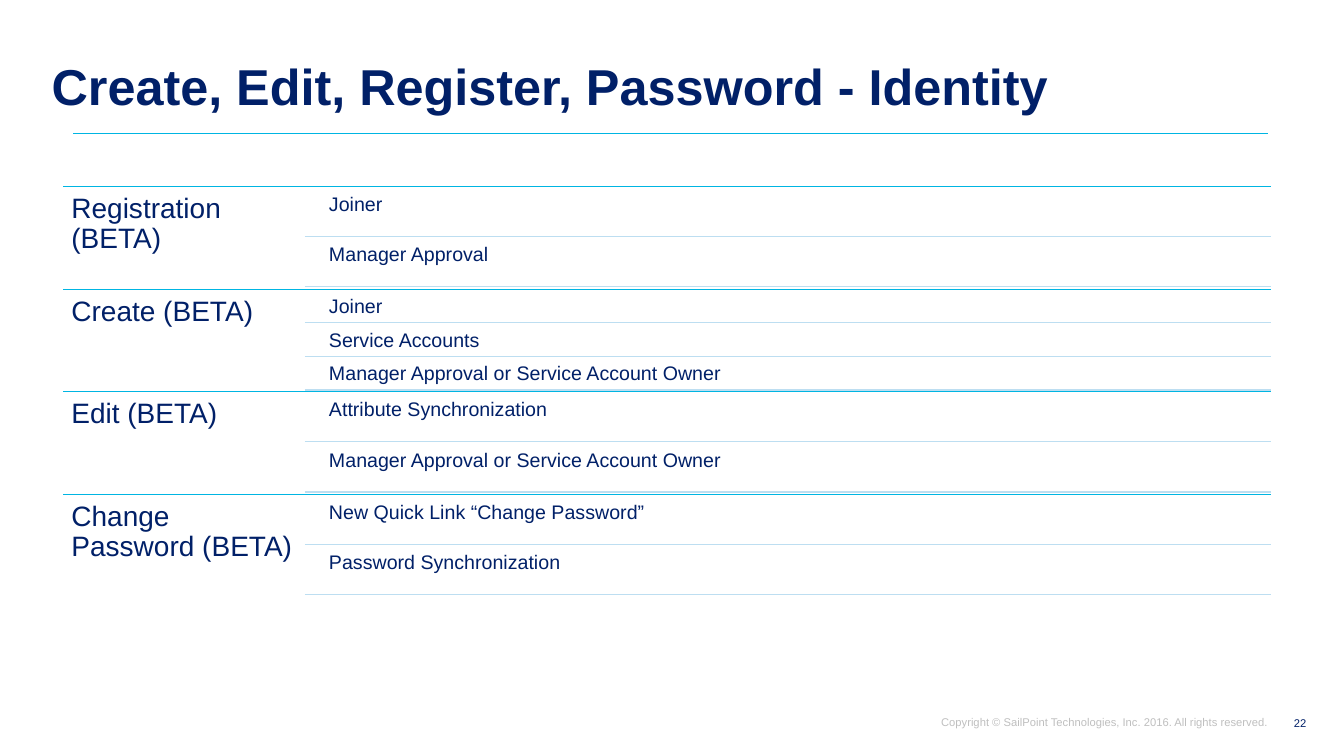
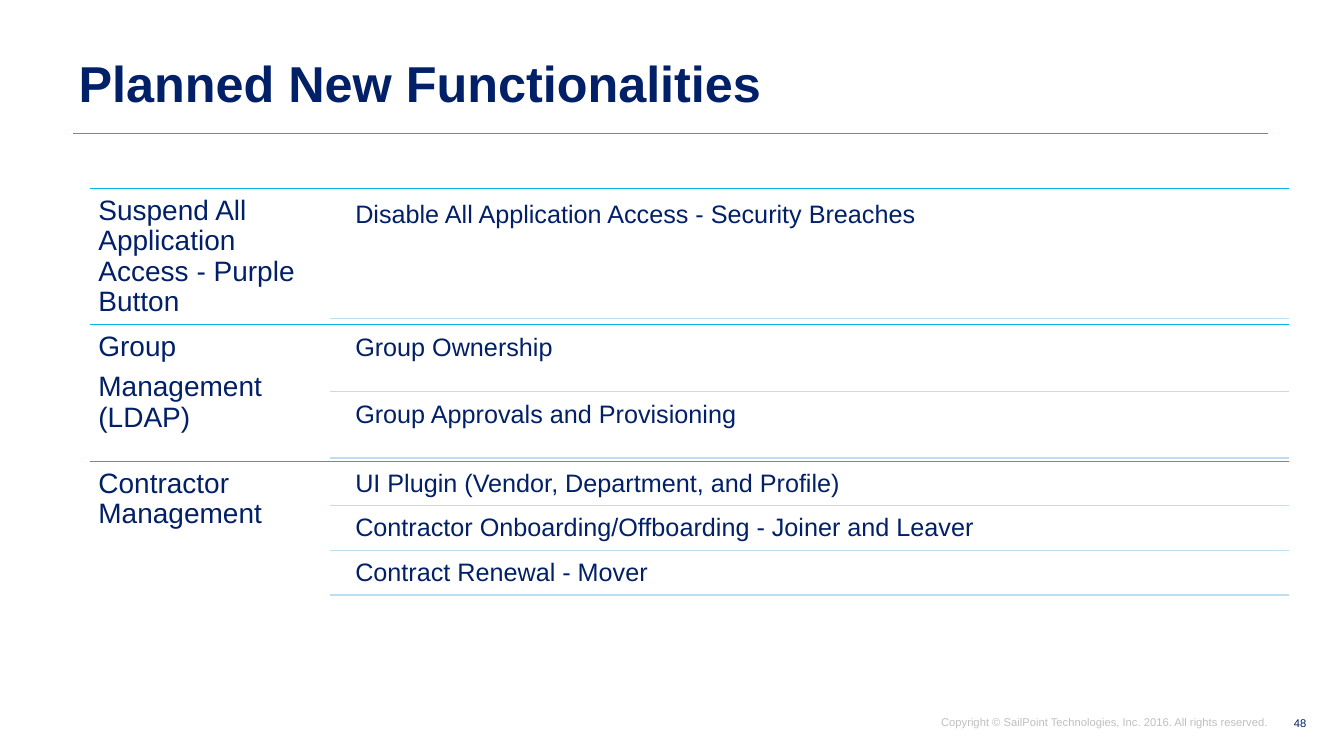
from dataclasses import dataclass
from pptx import Presentation
from pptx.dml.color import RGBColor
from pptx.enum.shapes import MSO_CONNECTOR
from pptx.enum.text import MSO_ANCHOR, PP_ALIGN
from pptx.oxml.ns import qn
from pptx.util import Cm, Pt
from lxml.etree import SubElement


@dataclass(frozen=True)
class Theme:
    font: str = "Arial"
    navy: str = "012068"
    cyan: str = "00B5E2"
    pale: str = "BDDEF1"
    grey: str = "BFBFBF"
    title_size: int = 36
    topic_size: int = 20
    footer_size: int = 8
    thin: float = 0.5
    regular: float = 1


THEME = Theme()

TOPIC_SHARE = 0.2
ITEM_SHARE = 0.215
GAP_SHARE = 0.05

COPYRIGHT = "Copyright © SailPoint Technologies, Inc. 2016. All rights reserved."

IDENTITY_TOPICS = [
    ("Registration (BETA)", ["Joiner", "Manager Approval"]),
    ("Create (BETA)", ["Joiner", "Service Accounts", "Manager Approval or Service Account Owner"]),
    ("Edit (BETA)", ["Attribute Synchronization", "Manager Approval or Service Account Owner"]),
    ("Change Password (BETA)", ["New Quick Link “Change Password”", "Password Synchronization"]),
]

PLANNED_TOPICS = [
    ("Suspend All Application Access - Purple Button",
     ["Disable All Application Access - Security Breaches"]),
    ("Group\nManagement (LDAP)", ["Group Ownership", "Group Approvals and Provisioning"]),
    ("Contractor Management",
     ["UI Plugin (Vendor, Department, and Profile)",
      "Contractor Onboarding/Offboarding - Joiner and Leaver",
      "Contract Renewal - Mover"]),
]


def add_text(page, text, left, top, width, height, *, size, color=THEME.navy, bold=False,
             align=PP_ALIGN.LEFT, anchor=MSO_ANCHOR.TOP, inset=(0, 0), line_spacing=1.0,
             space_after=0):
    box = page.shapes.add_textbox(Cm(left), Cm(top), Cm(width), Cm(height))
    frame = box.text_frame
    frame.word_wrap = True
    frame.vertical_anchor = anchor
    frame.margin_left = frame.margin_right = Cm(inset[0])
    frame.margin_top = frame.margin_bottom = Cm(inset[1])
    frame.text = text
    for para in frame.paragraphs:
        para.alignment = align
        para.line_spacing = line_spacing
        para.space_after = Pt(space_after)
        for span in para.runs:
            span.font.name = THEME.font
            span.font.size = Pt(size)
            span.font.bold = bold
            span.font.color.rgb = RGBColor.from_string(color)


def add_rule(page, left, right, height, color, weight):
    rule = page.shapes.add_connector(
        MSO_CONNECTOR.STRAIGHT, Cm(left), Cm(height), Cm(right), Cm(height))
    rule.line.color.rgb = RGBColor.from_string(color)
    rule.line.width = Pt(weight)
    SubElement(rule._element.spPr, qn("a:effectLst"))


def add_page(deck, title, number, left, top, width):
    page = deck.slides.add_slide(deck.slide_layouts[6])
    add_rule(page, 1.84, 31.96, 3.36, THEME.cyan, THEME.regular)
    footer = dict(size=THEME.footer_size, align=PP_ALIGN.RIGHT, anchor=MSO_ANCHOR.MIDDLE)
    add_text(page, COPYRIGHT, 23.24, 17.98, 8.72, 0.44, color=THEME.grey, **footer)
    add_text(page, str(number), 31.86, 17.76, 1.06, 0.94, **footer)
    add_text(page, title, left, top, width, 2.28, size=THEME.title_size, bold=True,
             anchor=MSO_ANCHOR.MIDDLE, inset=(0, 0.13), line_spacing=0.9)
    return page


def add_topic(page, topic, items, left, top, width, height, item_size, item_inset):
    right = left + width
    topic_width = width * TOPIC_SHARE
    item_left = left + width * ITEM_SHARE
    body = dict(line_spacing=0.9, space_after=7)
    add_rule(page, left, right, top, THEME.cyan, THEME.thin)
    add_text(page, topic, left, top, topic_width, height, size=THEME.topic_size,
             inset=(0.2, 0.2), **body)
    count = len(items)
    item_height = height / (count + (count + 1) * GAP_SHARE)
    gap = item_height * GAP_SHARE
    for index, item in enumerate(items):
        item_top = top + gap + index * (item_height + gap)
        add_text(page, item, item_left, item_top, right - item_left, item_height,
                 size=item_size, inset=(item_inset, item_inset), **body)
        add_rule(page, left + topic_width, right, item_top + item_height,
                 THEME.pale, THEME.regular)


def add_topics(page, topics, left, top, width, height, *, item_size, item_inset):
    band = height / len(topics)
    for index, (topic, items) in enumerate(topics):
        add_topic(page, topic, items, left, top + index * band, width, band,
                  item_size, item_inset)


def main():
    deck = Presentation()
    deck.slide_width, deck.slide_height = Cm(33.87), Cm(19.05)
    identity = add_page(deck, "Create, Edit, Register, Password - Identity", 22, 1.3, 1.12, 29.03)
    add_topics(identity, IDENTITY_TOPICS, 1.6, 4.7, 30.43, 10.34, item_size=14, item_inset=0.15)
    planned = add_page(deck, "Planned New Functionalities", 48, 1.98, 1.04, 21.84)
    add_topics(planned, PLANNED_TOPICS, 2.28, 4.75, 30.2, 10.3, item_size=18, item_inset=0.18)
    deck.save("out.pptx")


if __name__ == "__main__":
    main()
